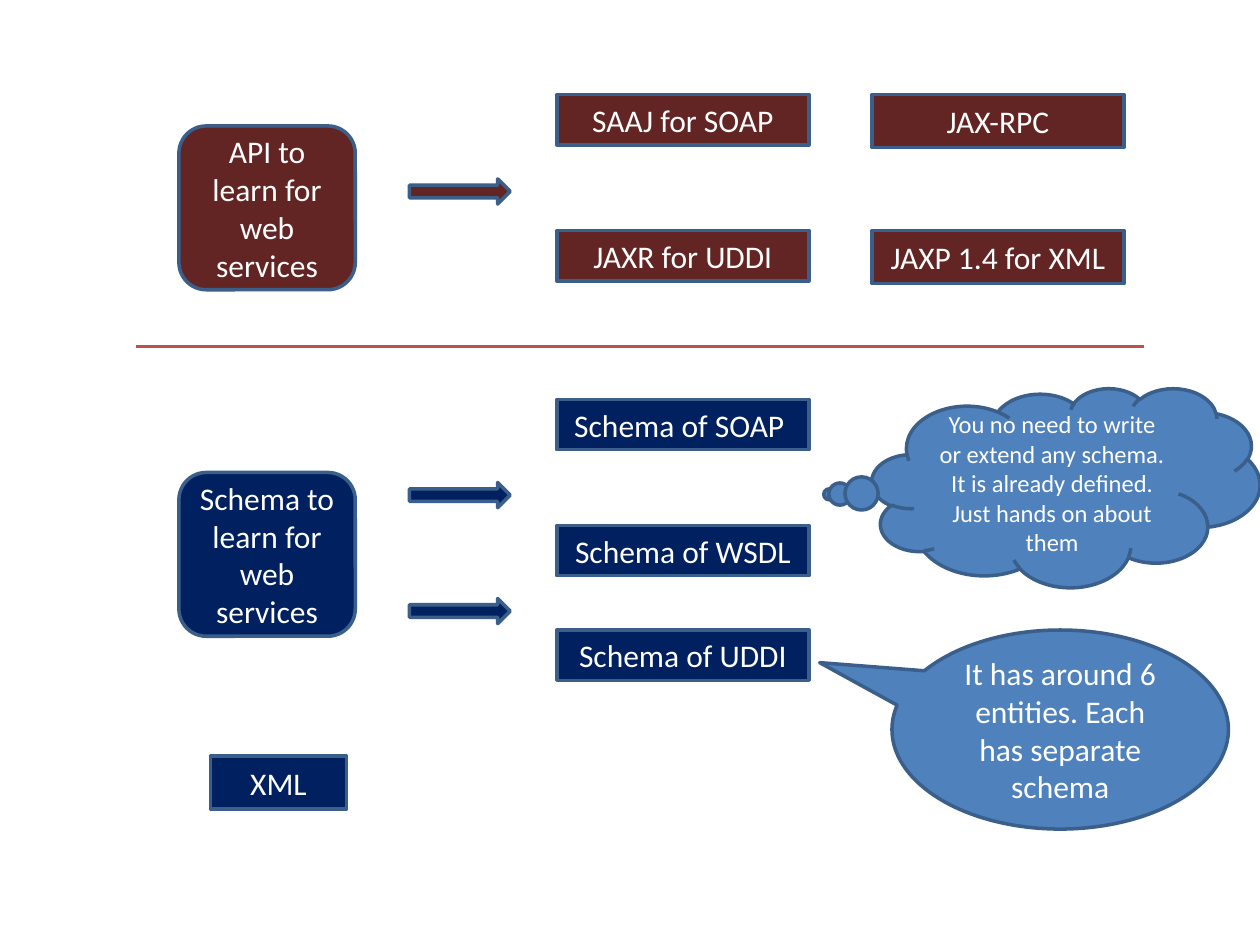
"""Build a slide that maps web service APIs and schemas to learn."""
from dataclasses import dataclass

from lxml.etree import SubElement
from pptx import Presentation
from pptx.dml.color import RGBColor
from pptx.enum.shapes import MSO_CONNECTOR, MSO_SHAPE
from pptx.enum.text import MSO_ANCHOR, PP_ALIGN
from pptx.oxml.ns import qn
from pptx.util import Inches, Pt


@dataclass(frozen=True)
class Theme:
    red: str = "632523"
    navy: str = "002060"
    blue: str = "4F81BD"
    edge: str = "3A5F8B"
    rule: str = "C0504D"
    white: str = "FFFFFF"
    font: str = "Calibri"
    body: int = 18
    small: int = 14
    width: int = 2


theme = Theme()
deck = Presentation()
deck.slide_width, deck.slide_height = Inches(10), Inches(7.5)
slide = deck.slides.add_slide(deck.slide_layouts[6])


def add_box(text, *, at, fill, kind=MSO_SHAPE.RECTANGLE, size=theme.body, adjust=()):
    shape = slide.shapes.add_shape(kind, *map(Inches, at))
    shape.shadow.inherit = False
    shape.fill.solid()
    shape.fill.fore_color.rgb = RGBColor.from_string(fill)
    shape.line.color.rgb = RGBColor.from_string(theme.edge)
    shape.line.width = Pt(theme.width)
    for i, value in enumerate(adjust):
        shape.adjustments[i] = value
    if text:
        frame = shape.text_frame
        frame.word_wrap = True
        frame.vertical_anchor = MSO_ANCHOR.MIDDLE
        line = frame.paragraphs[0]
        line.alignment = PP_ALIGN.CENTER
        run = line.add_run()
        run.text = text
        run.font.name = theme.font
        run.font.size = Pt(size)
        run.font.color.rgb = RGBColor.from_string(theme.white)


topics = [
    ("API to learn for web services", 1, theme.red),
    ("Schema to learn for web services", 3.75, theme.navy),
]
for text, top, fill in topics:
    add_box(text, at=(1.42, top, 1.4, 1.3), fill=fill,
            kind=MSO_SHAPE.ROUNDED_RECTANGLE, adjust=(0.167,))

for top, fill in [(1.42, theme.red), (3.83, theme.navy), (4.75, theme.navy)]:
    add_box("", at=(3.25, top, 0.8, 0.2), fill=fill, kind=MSO_SHAPE.RIGHT_ARROW)

apis = [
    (4.42, 0.4, ("SAAJ for SOAP", "JAXR for UDDI")),
    (6.92, 0.42, ("JAX-RPC", "JAXP 1.4 for XML")),
]
for left, height, names in apis:
    for top, text in zip((0.75, 1.83), names):
        add_box(text, at=(left, top, 2, height), fill=theme.red)

schemas = [("Schema of SOAP ", 3.17), ("Schema of WSDL", 4.17), ("Schema of UDDI", 5)]
for text, top in schemas:
    add_box(text, at=(4.42, top, 2, 0.4), fill=theme.navy)
add_box("XML", at=(1.67, 6, 1.08, 0.42), fill=theme.navy)

add_box("It has around 6 entities. Each has separate schema",
        at=(7.08, 5, 2.67, 1.58), fill=theme.blue,
        kind=MSO_SHAPE.OVAL_CALLOUT, adjust=(-0.715, -0.336))
add_box("You no need to write or extend any schema. "
        "It is already defined. Just hands on about them",
        at=(6.92, 3.08, 3.08, 1.58), fill=theme.blue, size=theme.small,
        kind=MSO_SHAPE.CLOUD_CALLOUT, adjust=(-0.61, 0.034))

rule = slide.shapes.add_connector(
    MSO_CONNECTOR.STRAIGHT, Inches(1.08), Inches(2.75), Inches(9.08), Inches(2.75))
rule.line.color.rgb = RGBColor.from_string(theme.rule)
rule.line.width = Pt(theme.width)
SubElement(rule._element.spPr, qn("a:effectLst"))

deck.save("out.pptx")
